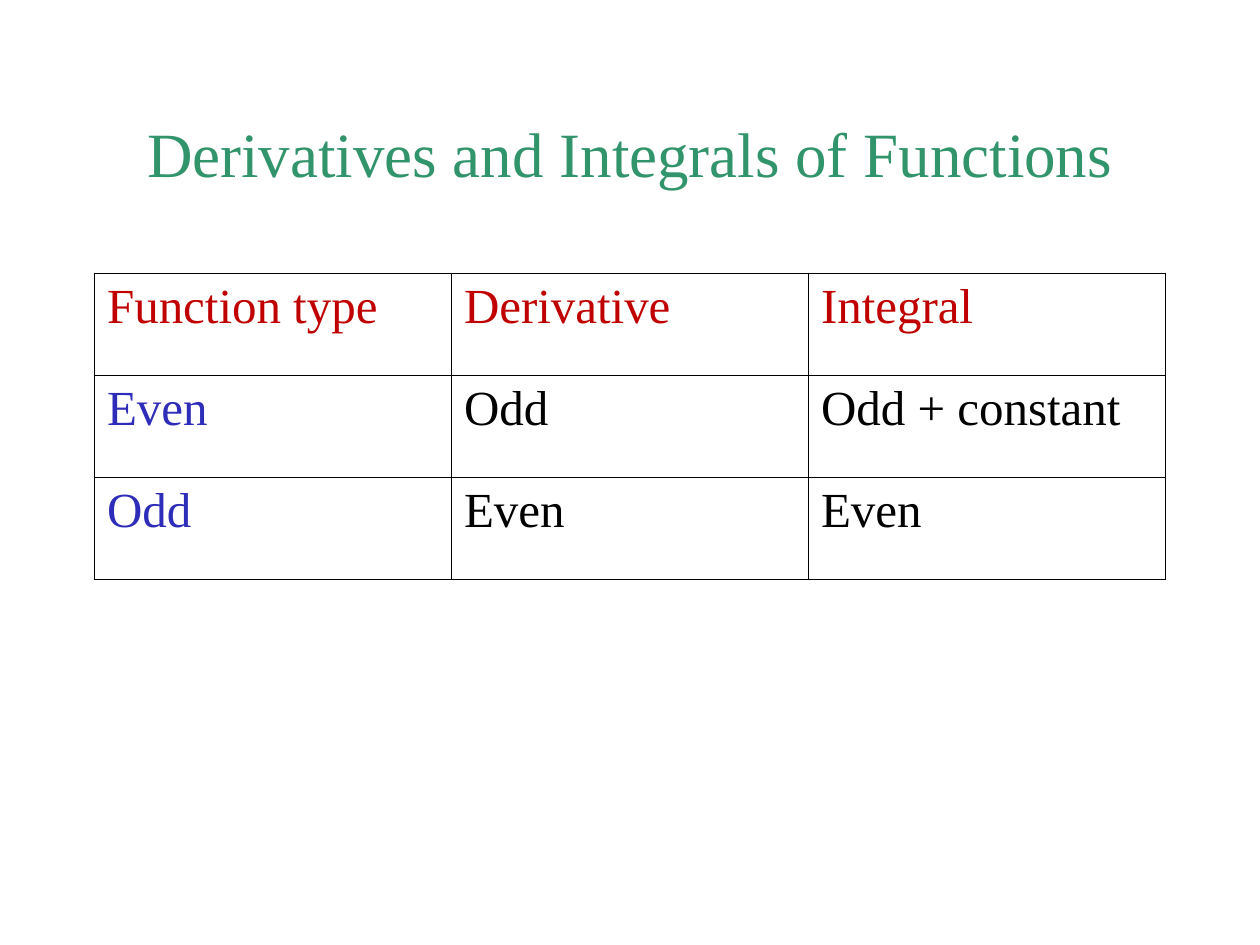
from lxml import etree
from pptx import Presentation, util as u
from pptx.dml.color import RGBColor
from pptx.enum import text
from pptx.oxml.ns import qn

TITLE = "Derivatives and Integrals of Functions"
PARITY_RULES = [
    ("Function type", "Derivative", "Integral"),
    ("Even", "Odd", "Odd + constant"),
    ("Odd", "Even", "Even"),
]

THEME = {
    "title": {"name": "Times New Roman", "size": u.Pt(36), "color": "32946A"},
    "header": {"name": "Times New Roman", "size": u.Pt(28), "color": "C00000"},
    "type": {"name": "Times New Roman", "size": u.Pt(28), "color": "2D2DB9"},
    "result": {"name": "Times New Roman", "size": u.Pt(28), "color": "000000"},
    "border": "000000",
    "outer": u.Pt(1.08),
    "inner": u.Pt(0.45),
}

WIDTH, HEIGHT = u.Inches(10), u.Inches(7.5)
MARGIN = u.Inches(0.75)
CONTENT_WIDTH = WIDTH - 2 * MARGIN
TITLE_TOP, TITLE_HEIGHT = u.Inches(0.58), u.Inches(1.25)
TABLE_TOP, ROW_HEIGHT = u.Inches(2.17), u.Inches(0.81)
ROWS, COLUMNS = len(PARITY_RULES), len(PARITY_RULES[0])


def write(frame, words, style, **paragraph_format):
    paragraph = frame.paragraphs[0]
    for key, value in paragraph_format.items():
        setattr(paragraph, key, value)
    run = paragraph.add_run()
    run.text = words
    for key, value in THEME[style].items():
        if key == "color":
            run.font.color.rgb = RGBColor.from_string(value)
        else:
            setattr(run.font, key, value)


def draw_borders(cell, row, column):
    """Rule all four sides, heavier on the rim of the table."""
    on_rim = {
        "L": column == 0,
        "R": column == COLUMNS - 1,
        "T": row == 0,
        "B": row == ROWS - 1,
    }
    properties = cell._tc.get_or_add_tcPr()
    for side, rim in on_rim.items():
        width = THEME["outer" if rim else "inner"]
        line = etree.SubElement(properties, qn(f"a:ln{side}"), w=str(int(width)))
        fill = etree.SubElement(line, qn("a:solidFill"))
        etree.SubElement(fill, qn("a:srgbClr"), val=THEME["border"])


def add_title(slide):
    frame = slide.shapes.add_textbox(MARGIN, TITLE_TOP, CONTENT_WIDTH, TITLE_HEIGHT).text_frame
    frame.word_wrap = True
    frame.vertical_anchor = text.MSO_ANCHOR.MIDDLE
    write(frame, TITLE, "title", alignment=text.PP_ALIGN.CENTER)


def add_rules_table(slide):
    table = slide.shapes.add_table(
        ROWS, COLUMNS, MARGIN, TABLE_TOP, CONTENT_WIDTH, ROWS * ROW_HEIGHT
    ).table
    table.first_row = table.horz_banding = False
    for row, rule in enumerate(PARITY_RULES):
        for column, words in enumerate(rule):
            cell = table.cell(row, column)
            draw_borders(cell, row, column)
            cell.fill.background()
            style = "header" if row == 0 else "type" if column == 0 else "result"
            write(cell.text_frame, words, style, space_before=u.Pt(7))


def main():
    deck = Presentation()
    deck.slide_width, deck.slide_height = WIDTH, HEIGHT
    slide = deck.slides.add_slide(deck.slide_layouts[6])
    add_title(slide)
    add_rules_table(slide)
    deck.save("out.pptx")


if __name__ == "__main__":
    main()
